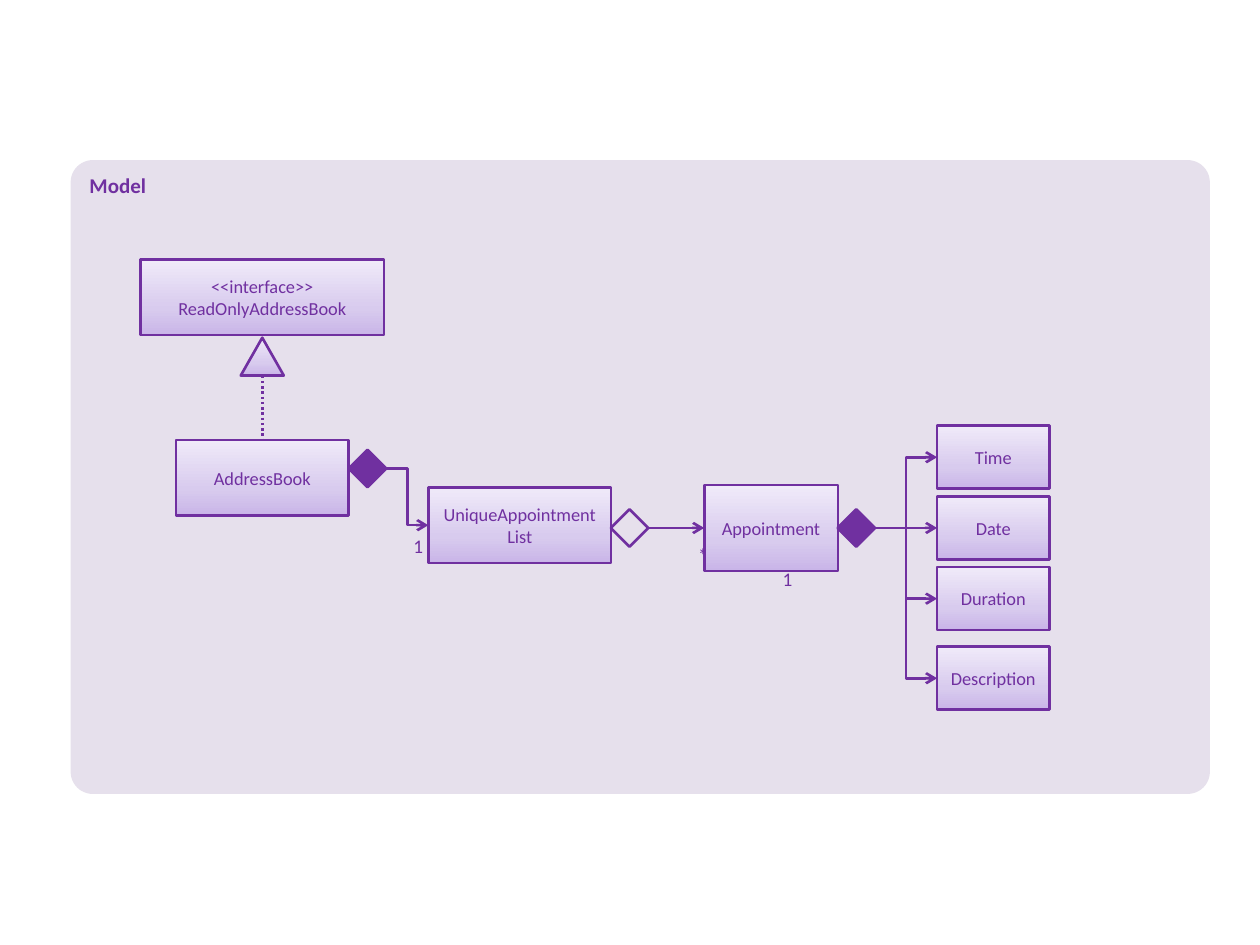
from copy import deepcopy

from lxml import etree
from pptx import Presentation
from pptx.dml.color import RGBColor
from pptx.enum.dml import MSO_LINE
from pptx.enum.shapes import MSO_CONNECTOR, MSO_SHAPE
from pptx.enum.text import MSO_ANCHOR, PP_ALIGN
from pptx.oxml.ns import qn
from pptx.util import Pt

LEFT, RIGHT = 1, 3  # connection sites


def rgb(value):
    return RGBColor.from_string(value)


class Diagram:
    font = "Calibri"
    ink = "7030A0"
    panel_fill = "E6E0EC"
    gradient = [(0, "C9B5E8"), (0.35, "D8CBEE"), (1, "F0EAF9")]
    line_width = 1.5
    diamond_size = 21.4

    def __init__(self, slide):
        self.shapes = slide.shapes

    def set_text(self, sp, text, size, bold=False, align=PP_ALIGN.CENTER):
        tf = sp.text_frame
        tf.word_wrap = True
        p = tf.paragraphs[0]
        p.text = text
        p.alignment = align
        for r in p.runs:
            r.font.name = self.font
            r.font.size = Pt(size)
            r.font.bold = bold
            r.font.color.rgb = rgb(self.ink)
        return tf

    def outline(self, line):
        line.color.rgb = rgb(self.ink)
        line.width = Pt(self.line_width)

    def shape(self, kind, x, y, w, h):
        sp = self.shapes.add_shape(kind, Pt(x), Pt(y), Pt(w), Pt(h))
        sp.shadow.inherit = False
        self.outline(sp.line)
        return sp

    def shade(self, sp):
        sp.fill.gradient()
        sp.fill.gradient_angle = 90
        stops = next(sp._element.iter(qn("a:gsLst")))
        stops.insert(1, deepcopy(stops[0]))
        for stop, (position, color) in zip(sp.fill.gradient_stops, self.gradient):
            stop.position = position
            stop.color.rgb = rgb(color)

    def panel(self, text, x, y, w, h):
        sp = self.shape(MSO_SHAPE.ROUNDED_RECTANGLE, x, y, w, h)
        sp.adjustments[0] = 0.035
        sp.fill.solid()
        sp.fill.fore_color.rgb = rgb(self.panel_fill)
        sp.line.fill.background()
        tf = self.set_text(sp, text, 12, True, PP_ALIGN.LEFT)
        tf.vertical_anchor = MSO_ANCHOR.TOP

    def box(self, text, x, y, w, h=43.2):
        sp = self.shape(MSO_SHAPE.RECTANGLE, x, y, w, h)
        self.shade(sp)
        tf = self.set_text(sp, text, 10.5)
        tf.vertical_anchor = MSO_ANCHOR.MIDDLE
        return sp

    def triangle(self, x, y, w, h):
        sp = self.shape(MSO_SHAPE.ISOSCELES_TRIANGLE, x, y, w, h)
        self.shade(sp)

    def diamond(self, x, y, filled=True):
        size = self.diamond_size
        sp = self.shape(MSO_SHAPE.FLOWCHART_DECISION, x, y, size, size)
        if filled:
            sp.fill.solid()
            sp.fill.fore_color.rgb = rgb(self.ink)
        else:
            sp.fill.background()
        return sp

    def connector(self, kind, x1=0, y1=0, x2=0, y2=0):
        cxn = self.shapes.add_connector(kind, Pt(x1), Pt(y1), Pt(x2), Pt(y2))
        self.outline(cxn.line)
        etree.SubElement(cxn._element.spPr, qn("a:effectLst"))
        return cxn

    def arrow(self, source, target):
        cxn = self.connector(MSO_CONNECTOR.ELBOW)
        cxn.begin_connect(source, RIGHT)
        cxn.end_connect(target, LEFT)
        ln = cxn._element.spPr.find(qn("a:ln"))
        etree.SubElement(ln, qn("a:tailEnd"), type="arrow")

    def dotted(self, x1, y1, x2, y2):
        cxn = self.connector(MSO_CONNECTOR.STRAIGHT, x1, y1, x2, y2)
        cxn.line.dash_style = MSO_LINE.ROUND_DOT

    def label(self, text, x, y):
        sp = self.shapes.add_textbox(Pt(x), Pt(y), Pt(17.3), Pt(22.3))
        tf = self.set_text(sp, text, 11)
        tf.margin_left = tf.margin_right = tf.margin_top = tf.margin_bottom = 0


prs = Presentation()
prs.slide_width, prs.slide_height = Pt(720), Pt(540)
s = prs.slides.add_slide(prs.slide_layouts[6])
d = Diagram(s)

d.panel("Model", 40.4, 91.5, 651, 362.2)

# Address book and its interface
axis = 149.9
d.dotted(axis, 214.6, axis, 251.4)
d.triangle(axis - 12.3, 193, 24.6, 21.6)
d.box("<<interface>>\vReadOnlyAddressBook", axis - 69.5, 148.3, 139)
d.box("AddressBook", axis - 49.3, 251.4, 98.6)

# Appointment list
appointment_list = d.box("UniqueAppointmentList", 244.8, 278.5, 104.4)
d.arrow(d.diamond(199.3, 257), appointment_list)

# Appointment
appointment = d.box("Appointment", 402.4, 277.2, 76.4, 49)
d.arrow(d.diamond(349, 291, filled=False), appointment)

# Parts of an appointment
owner = d.diamond(478.6, 291)
parts = {"Time": 243.3, "Date": 283.7, "Duration": 324.1, "Description": 369.6}
for name, y in parts.items():
    d.arrow(owner, d.box(name, 535.5, y, 64.2, 36))

# Multiplicities
for text, x, y in [("1", 230.4, 305.3), ("*", 393.1, 310.3), ("1", 441.4, 324)]:
    d.label(text, x, y)

prs.save("out.pptx")
